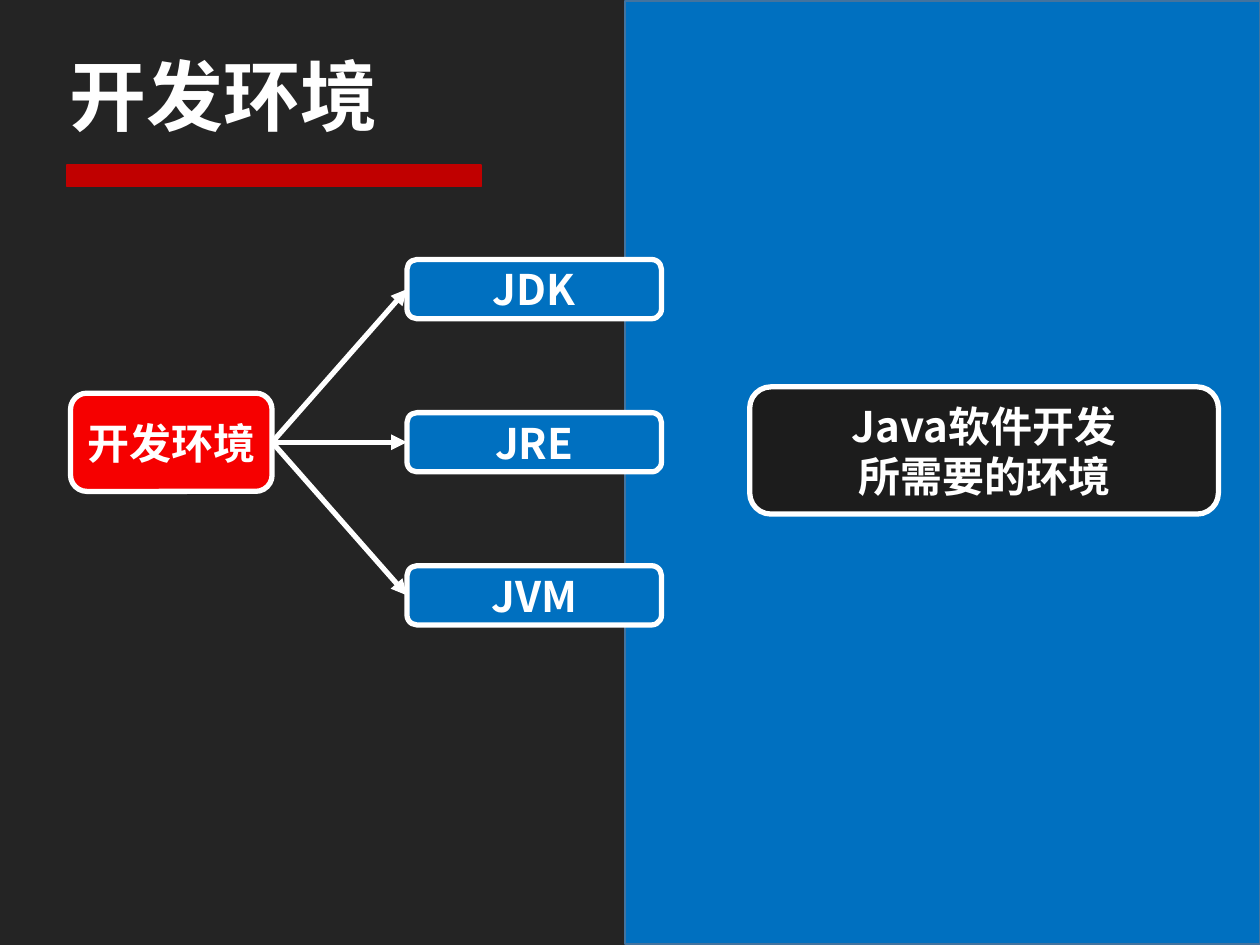
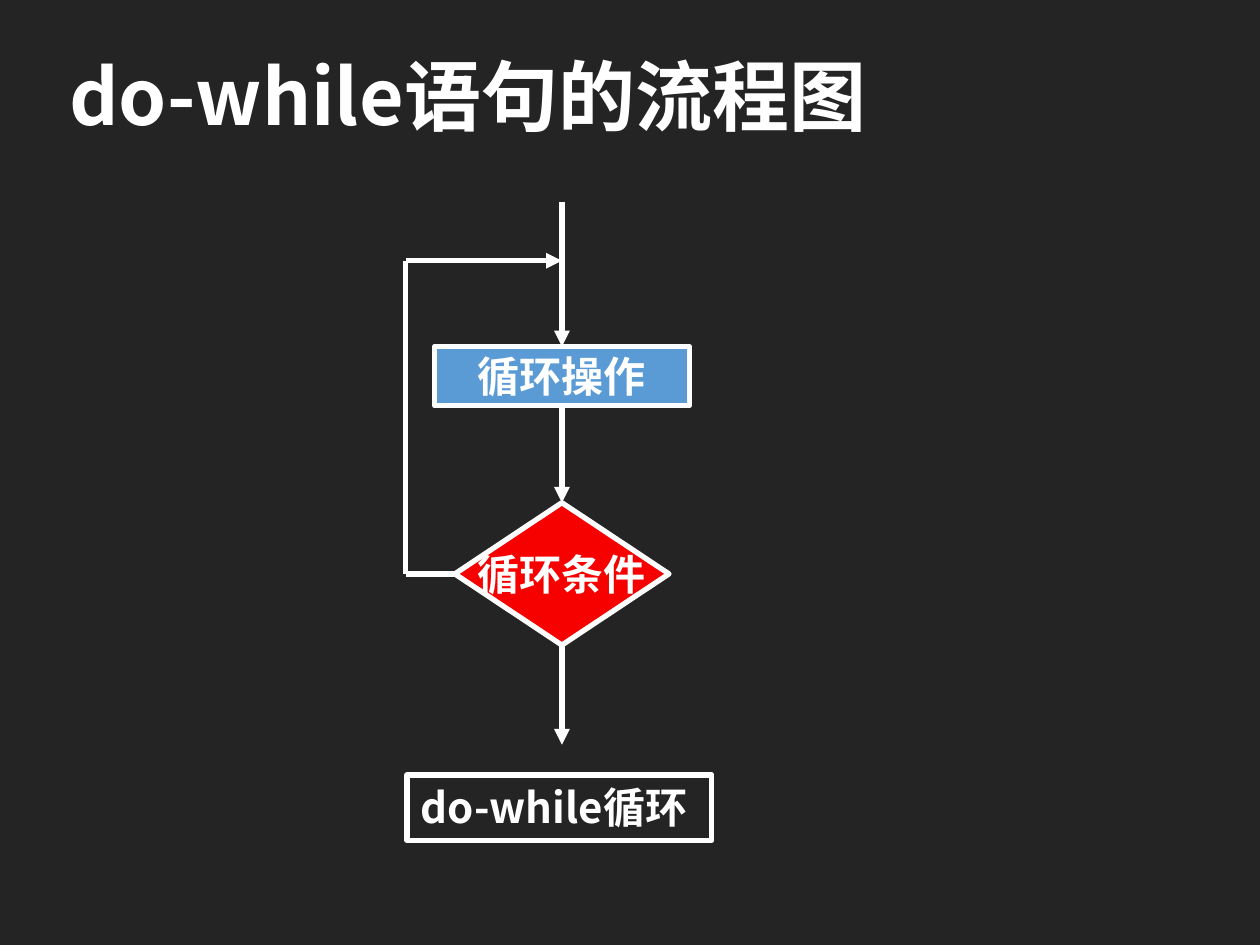
from dataclasses import dataclass

from lxml.etree import SubElement
from pptx import Presentation
from pptx.dml.color import RGBColor
from pptx.enum.shapes import MSO_CONNECTOR, MSO_SHAPE
from pptx.enum.text import MSO_ANCHOR, MSO_AUTO_SIZE, PP_ALIGN
from pptx.oxml.ns import qn
from pptx.util import Inches, Pt

COLUMNS, ROWS = 100, 75
SLIDE_WIDTH, SLIDE_HEIGHT = Inches(10), Inches(7.5)
TOP, LEFT, BOTTOM, RIGHT = range(4)


@dataclass(frozen=True)
class Theme:
    """Colours, font and sizes shared by the slides."""

    font: str = "Noto Sans CJK SC"
    title_size: int = 44
    label_size: int = 24
    outline: float = 3
    background: str = "242424"
    white: str = "FFFFFF"
    blue: str = "0070C0"
    panel_edge: str = "43739E"
    light_blue: str = "5B9BD5"
    red: str = "F60000"
    dark_red: str = "C00000"
    black: str = "1C1C1C"


THEME = Theme()


@dataclass(frozen=True)
class Box:
    """An area measured in grid columns and rows."""

    left: float
    top: float
    width: float
    height: float

    def inner(self, left, top, width, height):
        """Return an area placed relative to this one."""
        return Box(self.left + left, self.top + top, width, height)

    def point(self, left, top):
        """Return slide coordinates of a point relative to this area."""
        return (int((self.left + left) * SLIDE_WIDTH / COLUMNS),
                int((self.top + top) * SLIDE_HEIGHT / ROWS))

    def frame(self):
        """Return the area as left, top, width and height on the slide."""
        return (*self.point(0, 0),
                int(self.width * SLIDE_WIDTH / COLUMNS),
                int(self.height * SLIDE_HEIGHT / ROWS))


def write_text(shape, text, size=THEME.label_size, color=THEME.white,
               align=PP_ALIGN.CENTER, anchor=MSO_ANCHOR.MIDDLE, wrap=False,
               margins=(0.11, 0.06), auto_size=MSO_AUTO_SIZE.NONE):
    """Write each line of text as a bold formatted paragraph."""
    text_frame = shape.text_frame
    text_frame.text = text
    text_frame.word_wrap = wrap
    text_frame.auto_size = auto_size
    text_frame.vertical_anchor = anchor
    text_frame.margin_left = text_frame.margin_right = Inches(margins[0])
    text_frame.margin_top = text_frame.margin_bottom = Inches(margins[1])
    for paragraph in text_frame.paragraphs:
        paragraph.alignment = align
        for run in paragraph.runs:
            run.font.name = THEME.font
            run.font.size = Pt(size)
            run.font.bold = True
            run.font.color.rgb = RGBColor.from_string(color)
            SubElement(run._r.get_or_add_rPr(), qn("a:ea"), typeface=THEME.font)


def set_line(line, color=THEME.white, width=THEME.outline):
    """Give a line its colour and width."""
    line.color.rgb = RGBColor.from_string(color)
    line.width = Pt(width)


def add_block(slide, box, kind, fill, text="", edge=THEME.white,
              edge_width=THEME.outline):
    """Add a filled, outlined shape with an optional label."""
    shape = slide.shapes.add_shape(kind, *box.frame())
    shape.shadow.inherit = False
    shape.fill.solid()
    shape.fill.fore_color.rgb = RGBColor.from_string(fill)
    set_line(shape.line, edge, edge_width)
    if text:
        write_text(shape, text)
    return shape


def add_link(slide, start, end, arrow=True):
    """Join two ends, each a point or a (shape, side) pair."""
    connector = slide.shapes.add_connector(MSO_CONNECTOR.STRAIGHT, 0, 0, 0, 0)
    if isinstance(start[0], int):
        connector.begin_x, connector.begin_y = start
    else:
        connector.begin_connect(*start)
    if isinstance(end[0], int):
        connector.end_x, connector.end_y = end
    else:
        connector.end_connect(*end)
    set_line(connector.line)
    properties = connector._element.spPr
    if arrow:
        SubElement(properties.find(qn("a:ln")), qn("a:tailEnd"), type="triangle")
    SubElement(properties, qn("a:effectLst"))


def add_titled_slide(presentation, title):
    """Add a dark slide with its formatted title."""
    slide = presentation.slides.add_slide(presentation.slide_layouts[5])
    slide.background.fill.solid()
    slide.background.fill.fore_color.rgb = RGBColor.from_string(THEME.background)
    placeholder = slide.shapes.title
    placeholder.left, placeholder.top, placeholder.width, placeholder.height = (
        Box(4.5, 2.3, 90.9, 10.4).frame())
    write_text(placeholder, title, size=THEME.title_size, align=PP_ALIGN.LEFT,
               wrap=True, margins=(0.1, 0.05))
    return slide


def draw_component_tree(slide, box):
    """Draw the environment and arrows to its three components."""
    rounded = MSO_SHAPE.FLOWCHART_ALTERNATE_PROCESS
    root = add_block(slide, box.inner(0, 10.6, 16, 7.8), rounded, THEME.red,
                     "开发环境")
    for index, name in enumerate(("JDK", "JRE", "JVM")):
        component = add_block(slide, box.inner(26.7, 12.15 * index, 20.2, 4.7),
                              rounded, THEME.blue, name)
        add_link(slide, (root, RIGHT), (component, LEFT))


def draw_definition_panel(slide, box):
    """Draw the blue panel and the definition on it."""
    add_block(slide, box, MSO_SHAPE.RECTANGLE, THEME.blue,
              edge=THEME.panel_edge, edge_width=1)
    add_block(slide, box.inner(9.9, 30.6, 37.2, 10.1),
              MSO_SHAPE.FLOWCHART_ALTERNATE_PROCESS, THEME.black,
              "Java软件开发\n所需要的环境")


def draw_loop_flow(slide, box):
    """Draw the loop with its return path and caption."""
    center = box.width / 2
    operation = add_block(slide, box.inner(center - 10.1, 11.5, 20.2, 4.7),
                          MSO_SHAPE.FLOWCHART_PROCESS, THEME.light_blue, "循环操作")
    condition = add_block(slide, box.inner(center - 8.5, 23.9, 17, 11.3),
                          MSO_SHAPE.FLOWCHART_DECISION, THEME.red, "循环条件")
    lower_corner, upper_corner = box.point(0, 29.55), box.point(0, 4.7)
    add_link(slide, box.point(center, 0), (operation, TOP))
    add_link(slide, (operation, BOTTOM), (condition, TOP))
    add_link(slide, (condition, LEFT), lower_corner, arrow=False)
    add_link(slide, lower_corner, upper_corner, arrow=False)
    add_link(slide, upper_corner, box.point(center, 4.7))
    add_link(slide, (condition, BOTTOM), box.point(center, 43.1))
    caption = slide.shapes.add_textbox(*box.inner(0.1, 45.5, 24.2, 5.2).frame())
    set_line(caption.line)
    write_text(caption, "do-while循环", align=PP_ALIGN.LEFT, wrap=True,
               anchor=MSO_ANCHOR.TOP, margins=(0.11, 0.05),
               auto_size=MSO_AUTO_SIZE.SHAPE_TO_FIT_TEXT)


def build_environment_slide(presentation):
    """Build the development environment slide."""
    slide = add_titled_slide(presentation, "开发环境")
    draw_definition_panel(slide, Box(49.6, 0.1, 50.4, 74.8))
    draw_component_tree(slide, Box(5.6, 20.6, 46.9, 29))
    add_block(slide, Box(5.3, 13.1, 32.9, 1.7), MSO_SHAPE.RECTANGLE,
              THEME.dark_red, edge=THEME.dark_red, edge_width=1)


def build_loop_slide(presentation):
    """Build the do-while flowchart slide."""
    slide = add_titled_slide(presentation, "do-while语句的流程图")
    draw_loop_flow(slide, Box(32.2, 16, 24.8, 50.7))


def main():
    """Build and save the presentation."""
    presentation = Presentation()
    presentation.slide_width, presentation.slide_height = SLIDE_WIDTH, SLIDE_HEIGHT
    build_environment_slide(presentation)
    build_loop_slide(presentation)
    presentation.save("out.pptx")


if __name__ == "__main__":
    main()
